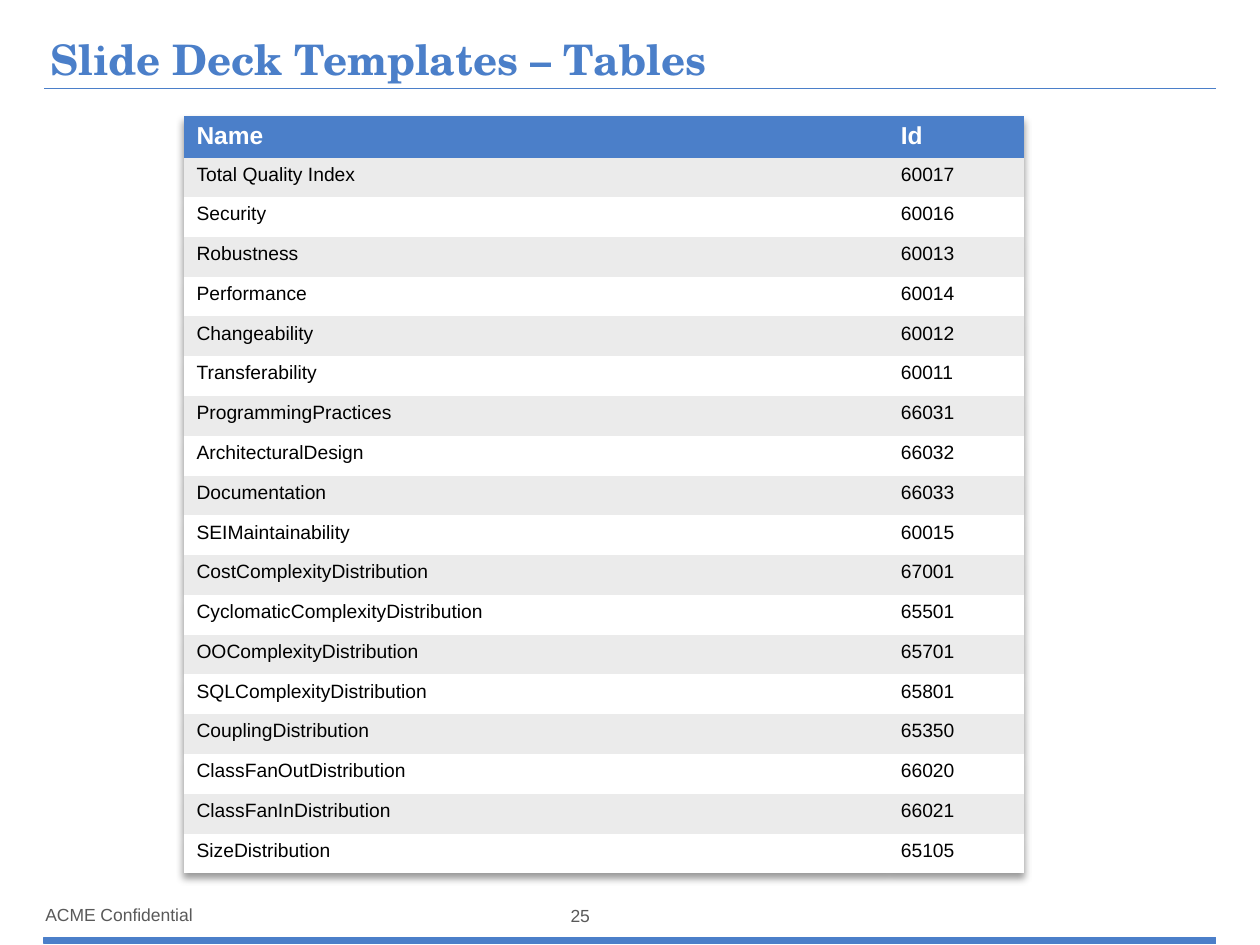
import pptx
import pptx.dml.color
import pptx.enum.shapes
import pptx.enum.text
import pptx.oxml
import pptx.oxml.ns
import pptx.util

Inches = pptx.util.Inches
Pt = pptx.util.Pt
ALIGN = pptx.enum.text.PP_ALIGN
ANCHOR = pptx.enum.text.MSO_ANCHOR
A_NS = 'xmlns:a="http://schemas.openxmlformats.org/drawingml/2006/main"'
NO_GRID_STYLE = "{2D5ABB26-0587-4C30-8999-92F81FD0307C}"


def rgb(value):
    return pptx.dml.color.RGBColor.from_string(value)


class SlideBuilder:
    blue, grey, band, white, black = "4B7FC9", "595959", "EBEBEB", "FFFFFF", "000000"
    body_font, title_font = "Arial", "TeX Gyre Schola"

    def __init__(self, slide):
        self.s = slide

    def format(self, p, size, color, bold=False, font=body_font):
        for r in p.runs:
            r.font.name = font
            r.font.size = Pt(size)
            r.font.bold = bold
            r.font.color.rgb = rgb(color)

    def text(self, box, text, size, color, bold=False, font=body_font, wrap=True,
             insets=(0.1, 0.05, 0.1, 0.05), anchor=ANCHOR.TOP, align=ALIGN.LEFT, spacing=1.0):
        tf = self.s.shapes.add_textbox(*map(Inches, box)).text_frame
        tf.word_wrap = wrap
        tf.vertical_anchor = anchor
        tf.margin_left, tf.margin_top, tf.margin_right, tf.margin_bottom = map(Inches, insets)
        p = tf.paragraphs[0]
        p.text = text
        p.alignment = align
        p.line_spacing = spacing
        self.format(p, size, color, bold, font)

    def line(self, x1, y1, x2, y2, color, width):
        cxn = self.s.shapes.add_connector(
            pptx.enum.shapes.MSO_CONNECTOR.STRAIGHT, *map(Inches, (x1, y1, x2, y2)))
        cxn.line.color.rgb = rgb(color)
        cxn.line.width = Pt(width)
        cxn._element.spPr.append(pptx.oxml.parse_xml(f"<a:effectLst {A_NS}/>"))

    def bar(self, box, color):
        sp = self.s.shapes.add_shape(
            pptx.enum.shapes.MSO_SHAPE.RECTANGLE, *map(Inches, box))
        sp.shadow.inherit = False
        sp.fill.solid()
        sp.fill.fore_color.rgb = rgb(color)
        sp.line.color.rgb = rgb(color)
        sp.line.width = Pt(0.75)

    def table(self, left, top, widths, heights, rows):
        size = map(Inches, (left, top, sum(widths), sum(heights)))
        table = self.s.shapes.add_table(len(rows), len(widths), *size).table
        tbl_pr = table._tbl.tblPr
        tbl_pr.find(pptx.oxml.ns.qn("a:tableStyleId")).text = NO_GRID_STYLE
        tbl_pr.insert(0, pptx.oxml.parse_xml(
            f'<a:effectLst {A_NS}><a:outerShdw blurRad="50800" dist="38100" dir="5400000">'
            '<a:srgbClr val="000000"><a:alpha val="40000"/></a:srgbClr>'
            '</a:outerShdw></a:effectLst>'))
        for col, width in zip(table.columns, widths):
            col.width = Inches(width)
        for i, (row, height, values) in enumerate(zip(table.rows, heights, rows)):
            row.height = Inches(height)
            header = i == 0
            fill = self.blue if header else self.band if i % 2 else self.white
            for cell, value in zip(row.cells, values):
                cell.fill.solid()
                cell.fill.fore_color.rgb = rgb(fill)
                p = cell.text_frame.paragraphs[0]
                p.text = value
                self.format(p, 14 if header else 11,
                            self.white if header else self.black, header)


METRICS = [
    ("Name", "Id"),
    ("Total Quality Index", "60017"),
    ("Security", "60016"),
    ("Robustness", "60013"),
    ("Performance", "60014"),
    ("Changeability", "60012"),
    ("Transferability", "60011"),
    ("ProgrammingPractices", "66031"),
    ("ArchitecturalDesign", "66032"),
    ("Documentation", "66033"),
    ("SEIMaintainability", "60015"),
    ("CostComplexityDistribution", "67001"),
    ("CyclomaticComplexityDistribution", "65501"),
    ("OOComplexityDistribution", "65701"),
    ("SQLComplexityDistribution", "65801"),
    ("CouplingDistribution", "65350"),
    ("ClassFanOutDistribution", "66020"),
    ("ClassFanInDistribution", "66021"),
    ("SizeDistribution", "65105"),
]


def main():
    prs = pptx.Presentation()
    prs.slide_width, prs.slide_height = Inches(10), Inches(7.5)
    b = SlideBuilder(prs.slides.add_slide(prs.slide_layouts[6]))

    b.text((0.36, 7.13, 1.23, 0.25), "ACME Confidential", 10, b.grey, wrap=False,
           insets=(0, 0, 0, 0), anchor=ANCHOR.MIDDLE)
    b.line(0.35, 0.7, 9.65, 0.7, b.blue, 0.5)
    b.bar((0.35, 7.44, 9.3, 0.05), b.blue)
    b.text((4.33, 7.13, 0.55, 0.25), "25", 10, b.grey, align=ALIGN.CENTER)
    b.text((0.35, 0.26, 9.3, 0.41), "Slide Deck Templates – Tables", 24, b.blue, True,
           b.title_font, insets=(0.05, 0.05, 0.05, 0), anchor=ANCHOR.BOTTOM, spacing=0.9)

    first_heights = [0.32, 0.31]
    rest = len(METRICS) - len(first_heights)
    heights = first_heights + [(6 - sum(first_heights)) / rest] * rest
    b.table(1.46, 0.92, [5.59, 1.08], heights, METRICS)

    prs.save("out.pptx")


if __name__ == "__main__":
    main()
